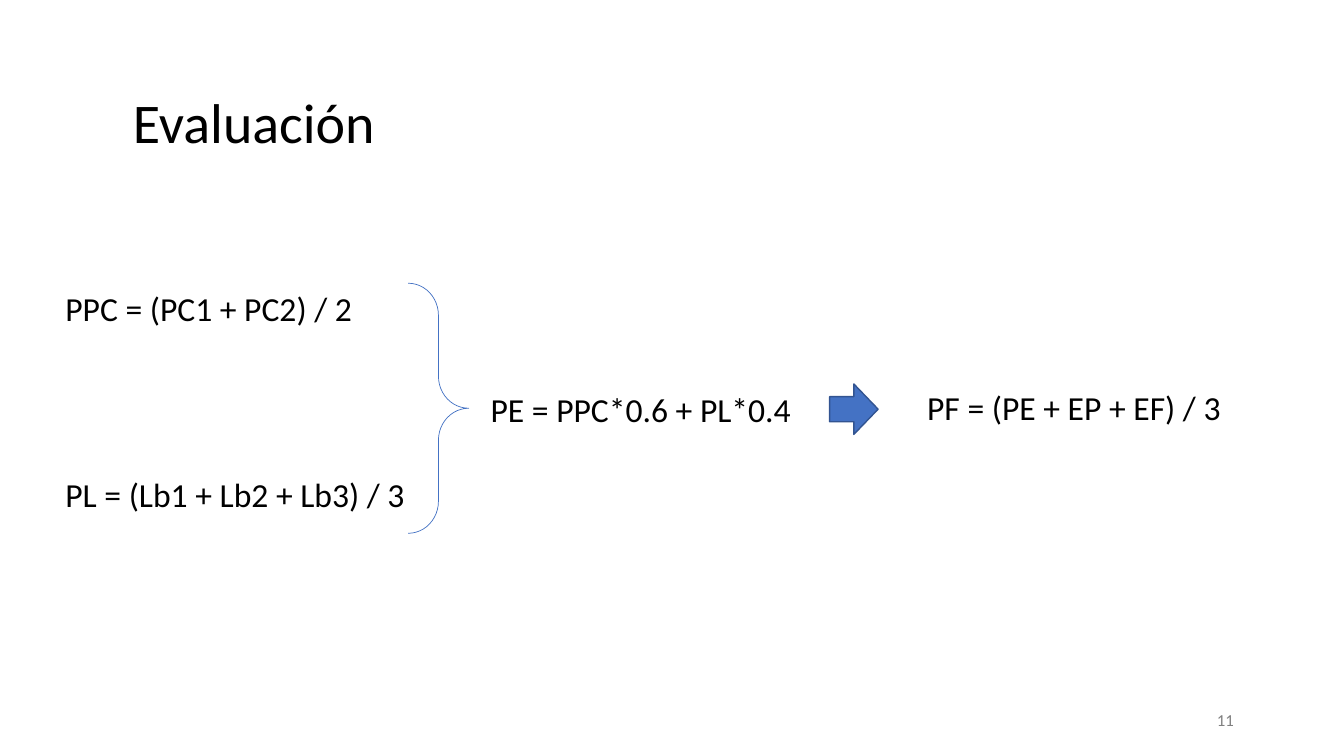
from pptx import Presentation
from pptx.dml.color import RGBColor
from pptx.enum.shapes import MSO_SHAPE
from pptx.enum.text import MSO_ANCHOR, MSO_AUTO_SIZE, PP_ALIGN
from pptx.util import Pt

BLACK = RGBColor(0x00, 0x00, 0x00)
GRAY = RGBColor(0x80, 0x80, 0x80)
BLUE = RGBColor(0x44, 0x72, 0xC4)
DARK_BLUE = RGBColor(0x32, 0x54, 0x91)
FONT = "Calibri"
LEFT, RIGHT = PP_ALIGN.LEFT, PP_ALIGN.RIGHT
MIDDLE = MSO_ANCHOR.MIDDLE
NO_AUTO_SIZE = MSO_AUTO_SIZE.NONE
FIT_SHAPE = MSO_AUTO_SIZE.SHAPE_TO_FIT_TEXT
RIGHT_BRACE, RIGHT_ARROW = MSO_SHAPE.RIGHT_BRACE, MSO_SHAPE.RIGHT_ARROW

FORMULA_HEIGHT = 36
FORMULAS = [  # text, left, top, width, wrap
    ("PPC = (PC1 + PC2) / 2", 39.6, 202.3, 230.4, True),
    ("PL = (Lb1 + Lb2 + Lb3) / 3", 39.6, 334.8, 265, True),
    ("PE = PPC*0.6 + PL*0.4", 343.4, 274.3, 230.4, False),
    ("PF = (PE + EP + EF) / 3", 655.2, 273, 249.8, True),
]


def write(paragraph, text, size, color=BLACK, alignment=LEFT):
    paragraph.alignment = alignment
    run = paragraph.add_run()
    run.text = text
    run.font.name = FONT
    run.font.size = Pt(size)
    run.font.color.rgb = color


def set_title(slide, text):
    title = slide.shapes.title
    title.left, title.top = Pt(87.8), Pt(43.2)
    title.width, title.height = Pt(800.6), Pt(92.9)
    frame = title.text_frame
    frame.auto_size = NO_AUTO_SIZE
    frame.vertical_anchor = MIDDLE
    paragraph = frame.paragraphs[0]
    paragraph.line_spacing = 0.9
    write(paragraph, text, 40)


def add_formula(slide, text, left, top, width, wrap):
    box = slide.shapes.add_textbox(Pt(left), Pt(top), Pt(width), Pt(FORMULA_HEIGHT))
    frame = box.text_frame
    frame.word_wrap = wrap
    frame.auto_size = FIT_SHAPE
    write(frame.paragraphs[0], text, 24)


def add_page_number(slide, number):
    box = slide.shapes.add_textbox(Pt(672.5), Pt(500.4), Pt(216), Pt(28.8))
    frame = box.text_frame
    frame.word_wrap = True
    frame.vertical_anchor = MIDDLE
    paragraph = frame.paragraphs[0]
    paragraph.line_spacing = 0.9
    paragraph.space_after = Pt(6)
    write(paragraph, number, 12, GRAY, RIGHT)


def add_symbol(slide, kind, left, top, width, height, line_color, line_width):
    shape = slide.shapes.add_shape(kind, Pt(left), Pt(top), Pt(width), Pt(height))
    shape.shadow.inherit = False
    shape.line.color.rgb = line_color
    shape.line.width = Pt(line_width)
    return shape


def main():
    presentation = Presentation()
    presentation.slide_width, presentation.slide_height = Pt(960), Pt(540)
    title_only = presentation.slide_layouts[5]
    slide = presentation.slides.add_slide(title_only)

    set_title(slide, "Evaluación")
    add_page_number(slide, "11")
    for formula in FORMULAS:
        add_formula(slide, *formula)

    brace = add_symbol(slide, RIGHT_BRACE, 291.6, 202.3, 43.2, 178.6, BLUE, 0.5)
    brace.fill.background()
    brace.adjustments[0] = 0.53

    arrow = add_symbol(slide, RIGHT_ARROW, 592.6, 274.3, 34.6, 36, DARK_BLUE, 1)
    arrow.fill.solid()
    arrow.fill.fore_color.rgb = BLUE

    presentation.save("out.pptx")


if __name__ == "__main__":
    main()
